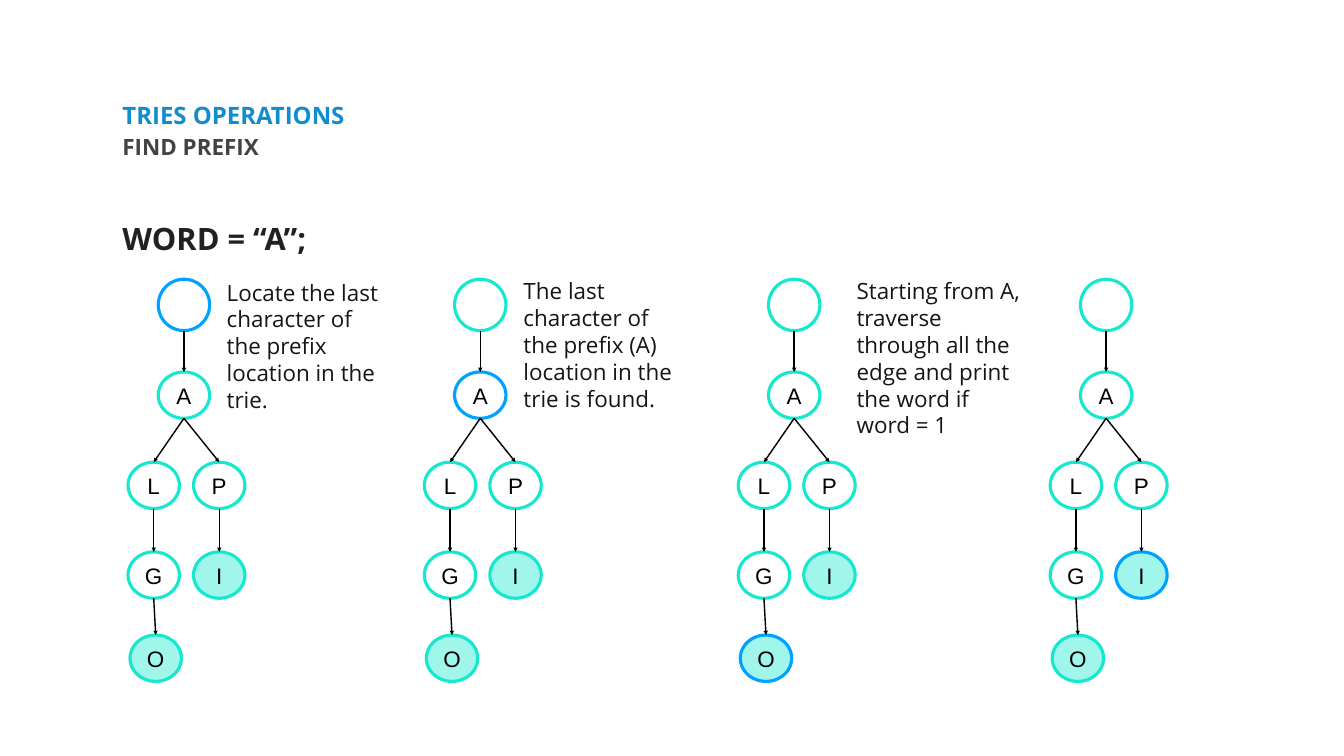
from dataclasses import dataclass

from lxml.etree import SubElement
from pptx import Presentation
from pptx.dml.color import RGBColor
from pptx.enum.shapes import MSO_CONNECTOR, MSO_SHAPE
from pptx.enum.text import MSO_ANCHOR as Anchor, PP_ALIGN as Align
from pptx.oxml.ns import qn
from pptx.util import Pt

PX = 9144  # EMU per px, 100 px to the inch


@dataclass(frozen=True)
class Theme:
    heading_font: str = "Open Sans"
    node_font: str = "Arial"
    title: str = "128CCD"
    subtitle: str = "424242"
    word: str = "212121"
    note: str = "151515"
    black: str = "000000"
    white: str = "FFFFFF"
    ring: str = "16E7CF"
    visited: str = "00A2FF"
    word_end: str = "A1F6EC"
    title_size: float = 34.2
    word_size: int = 44
    text_size: int = 32
    ring_width: float = 4.5
    edge_width: int = 2


theme = Theme()


def rgb(value):
    return RGBColor.from_string(value)


def write(shape, text, font, size, color, bold=False, align=Align.LEFT,
          anchor=Anchor.TOP, spacing=1.0, inset=(6, 6)):
    """Fill a shape with one formatted paragraph; inset is (sides, top and bottom)."""
    frame = shape.text_frame
    frame.text = text
    frame.word_wrap = True
    frame.vertical_anchor = anchor
    frame.margin_left = frame.margin_right = inset[0] * PX
    frame.margin_top = frame.margin_bottom = inset[1] * PX
    paragraph = frame.paragraphs[0]
    paragraph.alignment = align
    paragraph.line_spacing = spacing
    paragraph.space_before = Pt(0)
    for run in paragraph.runs:
        run.font.name = font
        run.font.size = Pt(size)
        run.font.bold = bold
        run.font.color.rgb = rgb(color)


prs = Presentation()
prs.slide_width, prs.slide_height = 2667 * PX, 1500 * PX
slide = prs.slides.add_slide(prs.slide_layouts[5])
shapes = slide.shapes

# Headings
title = shapes.title
title.left, title.top, title.width, title.height = (
    237 * PX, 205 * PX, 1609 * PX, 56 * PX)
write(title, "TRIES OPERATIONS", theme.heading_font, theme.title_size,
      theme.title, bold=True, spacing=0.8)

subtitle = shapes.add_textbox(237 * PX, 265 * PX, 1068 * PX, 88 * PX)
write(subtitle, "FIND PREFIX", theme.heading_font, theme.text_size,
      theme.subtitle, bold=True, spacing=0.9)

word = shapes.add_textbox(237 * PX, 429 * PX, 2115 * PX, 867 * PX)
write(word, "WORD = “A”;", theme.heading_font, theme.word_size,
      theme.word, bold=True)

# Trie: letter -> (centre offset from the root, top, height); "" is the root
NODE_WIDTH = 102
nodes = {
    "": (0, 554, 102),
    "A": (0, 738, 92),
    "L": (-60, 917, 92),
    "P": (70, 917, 92),
    "G": (-60, 1095, 92),
    "I": (70, 1095, 92),
    "O": (-56, 1260, 92),
}
edges = [("", "A"), ("A", "L"), ("A", "P"), ("L", "G"), ("P", "I"), ("G", "O")]
word_ends = {"I", "O"}

# Steps: (root centre, visited node)
steps = [(365, ""), (953, "A"), (1576, "O"), (2195, "I")]

for root_x, visited in steps:
    for letter, (offset, top, height) in nodes.items():
        node = shapes.add_shape(
            MSO_SHAPE.OVAL, (root_x + offset - NODE_WIDTH // 2) * PX, top * PX,
            NODE_WIDTH * PX, height * PX)
        node.shadow.inherit = False
        node.fill.solid()
        node.fill.fore_color.rgb = rgb(
            theme.word_end if letter in word_ends else theme.white)
        node.line.color.rgb = rgb(
            theme.visited if letter == visited else theme.ring)
        node.line.width = Pt(theme.ring_width)
        if letter:
            write(node, letter, theme.node_font, theme.text_size, theme.black,
                  align=Align.CENTER, anchor=Anchor.MIDDLE)

    for parent, child in edges:
        parent_offset, parent_top, parent_height = nodes[parent]
        child_offset, child_top, _ = nodes[child]
        edge = shapes.add_connector(
            MSO_CONNECTOR.STRAIGHT,
            (root_x + parent_offset) * PX, (parent_top + parent_height) * PX,
            (root_x + child_offset) * PX, child_top * PX)
        edge.line.color.rgb = rgb(theme.black)
        edge.line.width = Pt(theme.edge_width)
        SubElement(edge.line._get_or_add_ln(), qn("a:tailEnd"), type="triangle")
        SubElement(edge._element.spPr, qn("a:effectLst"))

# Explanations: (left, top, height, text)
notes = [
    (440, 548, 279,
     "Locate the last character of the prefix location in the trie."),
    (1029, 545, 279,
     "The last character of the prefix (A) location in the trie is found."),
    (1690, 545, 333,
     "Starting from A, traverse through all the edge and print the word if word = 1"),
]
for left, top, height, text in notes:
    note = shapes.add_textbox(left * PX, top * PX, 346 * PX, height * PX)
    write(note, text, theme.heading_font, theme.text_size, theme.note,
          inset=(10, 5))

prs.save("out.pptx")
